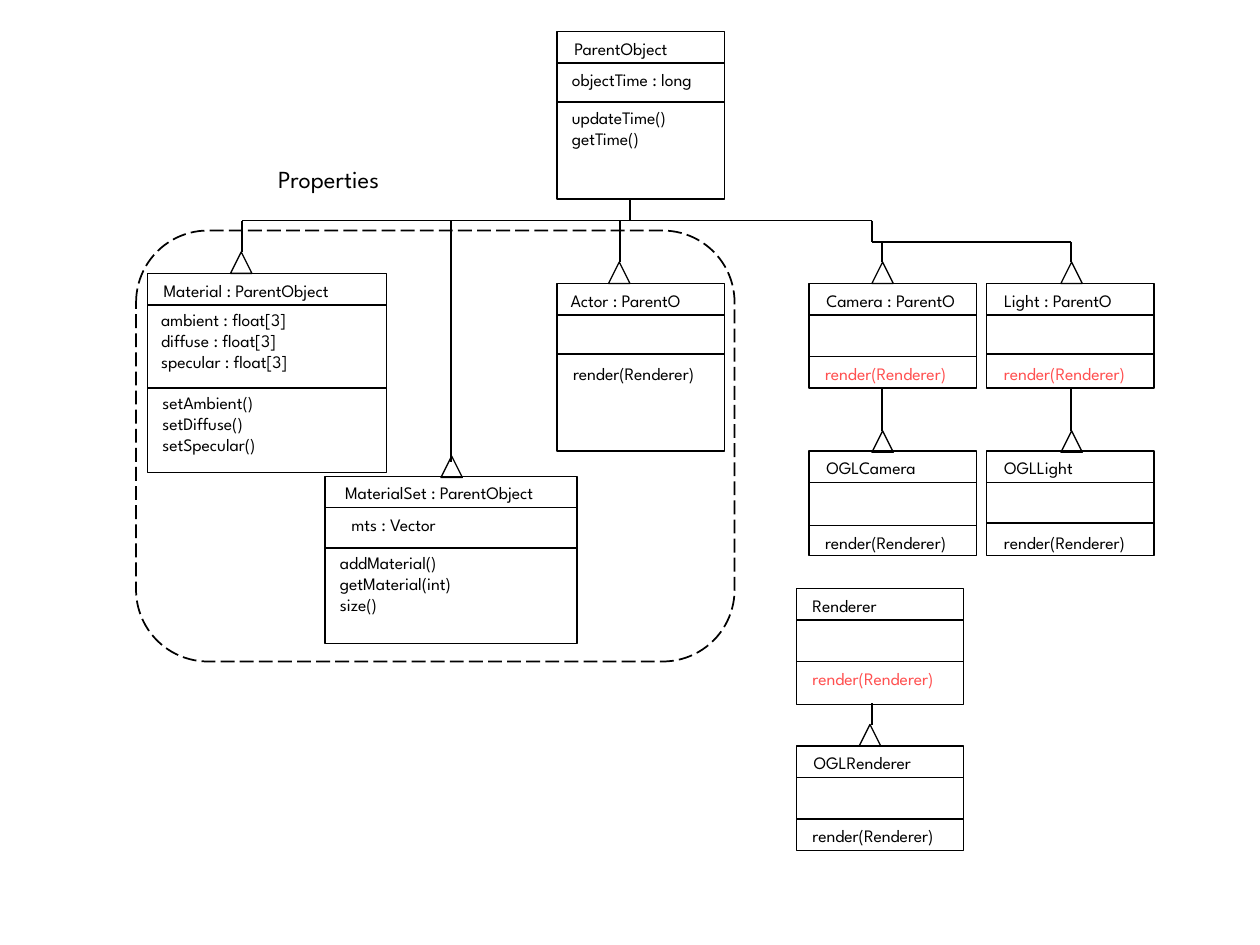
"""Class diagram of ParentObject, its subclasses and the renderers."""
from lxml import etree
from pptx import Presentation
from pptx.dml.color import RGBColor
from pptx.enum.dml import MSO_LINE
from pptx.enum.shapes import MSO_CONNECTOR, MSO_SHAPE
from pptx.oxml.ns import qn
from pptx.util import Inches, Pt

COLORS = {"ink": "000000", "abstract": "FF5050"}
FONT = "League Spartan"
TIP = 0.17
RENDER = "render(Renderer)"

# name, name dx, name width, x, y, width, height, second divider dy,
# then the attribute and method lists as (text, dx, dy, width, color)
CLASSES = [
    ("Material : ParentObject", 0.03, 1.7, 1.17, 2.17, 1.9, 1.58, 0.91,
     [("ambient : float[3]\ndiffuse : float[3]\nspecular : float[3]", 0.01, 0.23, 1.32, "ink"),
      ("setAmbient()\nsetDiffuse()\nsetSpecular()", 0.02, 0.89, 1.04, "ink")]),
    ("MaterialSet : ParentObject", 0.06, 1.9, 2.58, 3.78, 2, 1.33, 0.57,
     [("mts : Vector", 0.11, 0.25, 0.97, "ink"),
      ("addMaterial()\ngetMaterial(int)\nsize()", 0.02, 0.55, 1.2, "ink")]),
    ("ParentObject", 0.04, 1.05, 4.42, 0.25, 1.33, 1.33, 0.56,
     [("objectTime : long", 0.02, 0.25, 1.32, "ink"),
      ("updateTime()\ngetTime()", 0.02, 0.55, 1.06, "ink")]),
    ("Actor : ParentO", 0.01, 1.19, 4.42, 2.25, 1.33, 1.33, 0.56,
     [(RENDER, 0.03, 0.58, 1.33, "ink")]),
    ("Camera : ParentO", 0.04, 1.35, 6.42, 2.25, 1.33, 0.83, 0.58,
     [(RENDER, 0.03, 0.58, 1.33, "abstract")]),
    ("Light : ParentO", 0.04, 1.18, 7.83, 2.25, 1.33, 0.83, 0.56,
     [(RENDER, 0.04, 0.58, 1.33, "abstract")]),
    ("OGLCamera", 0.04, 0.99, 6.42, 3.58, 1.33, 0.83, 0.59,
     [(RENDER, 0.03, 0.59, 1.33, "ink")]),
    ("OGLLight", 0.04, 0.81, 7.83, 3.58, 1.33, 0.83, 0.57,
     [(RENDER, 0.04, 0.59, 1.33, "ink")]),
    ("Renderer", 0.03, 0.8, 6.32, 4.67, 1.33, 0.92, 0.58,
     [(RENDER, 0.03, 0.58, 1.33, "abstract")]),
    ("OGLRenderer", 0.04, 1.08, 6.32, 5.92, 1.33, 0.83, 0.58,
     [(RENDER, 0.03, 0.58, 1.33, "ink")]),
]

# stem x, stem top, stem bottom, triangle left, triangle top
ARROWS = [
    (1.92, 1.75, 2, 1.83, 2),
    (3.58, 1.75, 3.67, 3.5, 3.62),
    (4.92, 1.75, 2.08, 4.83, 2.08),
    (7, 1.92, 2.08, 6.92, 2.08),
    (8.5, 1.92, 2.08, 8.42, 2.08),
    (7, 3.08, 3.42, 6.92, 3.42),
    (8.5, 3.08, 3.42, 8.42, 3.42),
    (6.92, 5.58, 5.75, 6.82, 5.75),
]

BRANCHES = [
    (5, 1.58, 5, 1.75),
    (6.92, 1.75, 1.92, 1.75),
    (6.92, 1.75, 6.92, 1.92),
    (6.92, 1.92, 8.5, 1.92),
]


def color(name):
    """Return the named color."""
    return RGBColor.from_string(COLORS[name])


def add_outline(s, kind, x, y, w, h, width=0.75, dash=None):
    """Draw an unfilled preset shape."""
    sp = s.shapes.add_shape(kind, Inches(x), Inches(y), Inches(w), Inches(h))
    sp.shadow.inherit = False
    sp.fill.background()
    sp.line.color.rgb = color("ink")
    sp.line.width = Pt(width)
    if dash:
        sp.line.dash_style = dash


def add_line(s, x1, y1, x2, y2):
    """Draw a straight line without a shadow."""
    ln = s.shapes.add_connector(
        MSO_CONNECTOR.STRAIGHT, Inches(x1), Inches(y1), Inches(x2), Inches(y2))
    ln.line.color.rgb = color("ink")
    ln.line.width = Pt(0.75)
    etree.SubElement(ln._element.spPr, qn("a:effectLst"))


def add_text(s, text, x, y, w, size=10, ink="ink"):
    """Write one paragraph for each line of text."""
    lines = text.split("\n")
    h = 0.1 + len(lines) * size / 60
    tf = s.shapes.add_textbox(Inches(x), Inches(y), Inches(w), Inches(h)).text_frame
    tf.word_wrap = True
    for i, line in enumerate(lines):
        p = tf.add_paragraph() if i else tf.paragraphs[0]
        r = p.add_run()
        r.text = line
        r.font.name = FONT
        r.font.size = Pt(size)
        r.font.color.rgb = color(ink)


def add_class(s, name, name_dx, name_w, x, y, w, h, split, members):
    """Draw a class box with its name, dividers and members."""
    add_outline(s, MSO_SHAPE.RECTANGLE, x, y, w, h)
    for dy in (0.25, split):
        add_line(s, x, y + dy, x + w, y + dy)
    add_text(s, name, x + name_dx, y, name_w)
    for text, dx, dy, text_w, ink in members:
        add_text(s, text, x + dx, y + dy, text_w, ink=ink)


def add_arrow(s, x, top, bottom, tip_x, tip_y):
    """Draw an inheritance stem and its triangle."""
    add_line(s, x, top, x, bottom)
    add_outline(s, MSO_SHAPE.ISOSCELES_TRIANGLE, tip_x, tip_y, TIP, TIP)


def main():
    """Build and save the slide."""
    prs = Presentation()
    prs.slide_width, prs.slide_height = Inches(10), Inches(7.5)
    s = prs.slides.add_slide(prs.slide_layouts[6])
    add_outline(s, MSO_SHAPE.FLOWCHART_ALTERNATE_PROCESS, 1.08, 1.83, 4.75, 3.42,
                width=1, dash=MSO_LINE.LONG_DASH)
    add_text(s, "Properties", 2.11, 1.25, 1.15, size=14)
    for item in CLASSES:
        add_class(s, *item)
    for branch in BRANCHES:
        add_line(s, *branch)
    for arrow in ARROWS:
        add_arrow(s, *arrow)
    prs.save("out.pptx")


if __name__ == "__main__":
    main()
